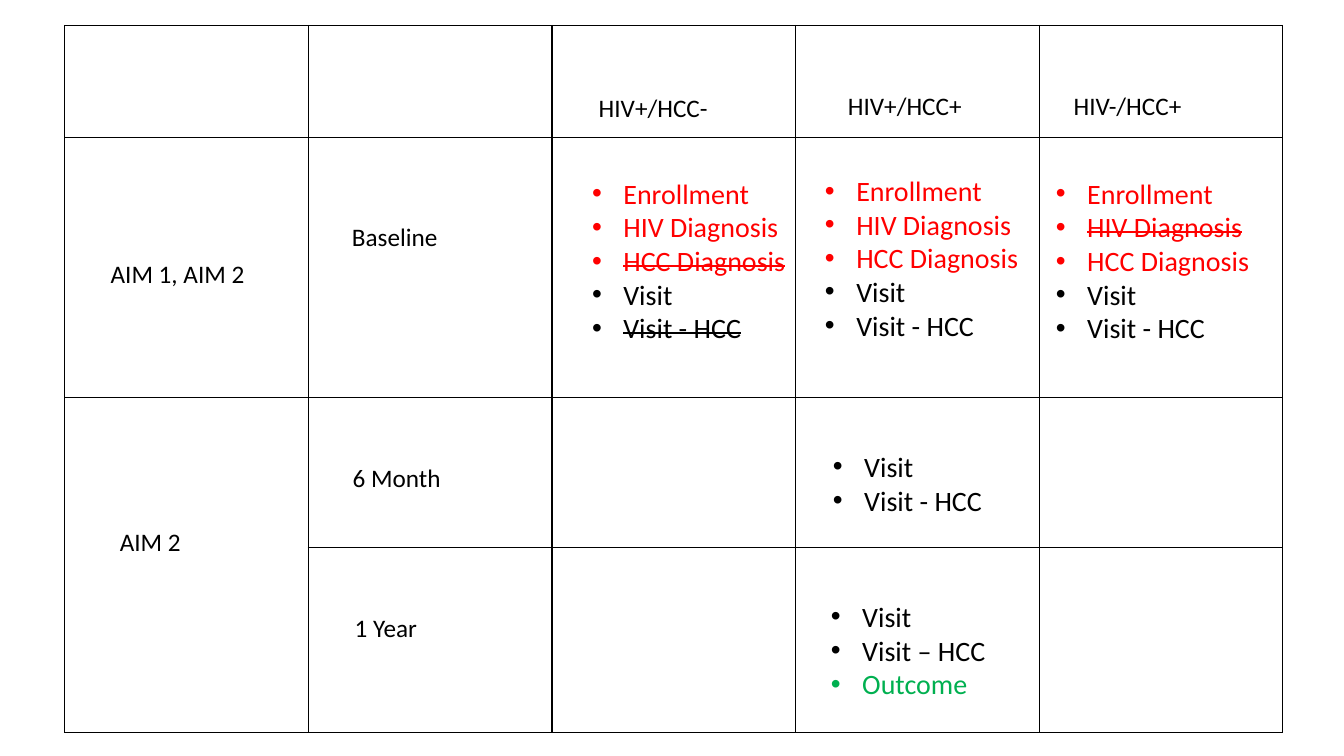
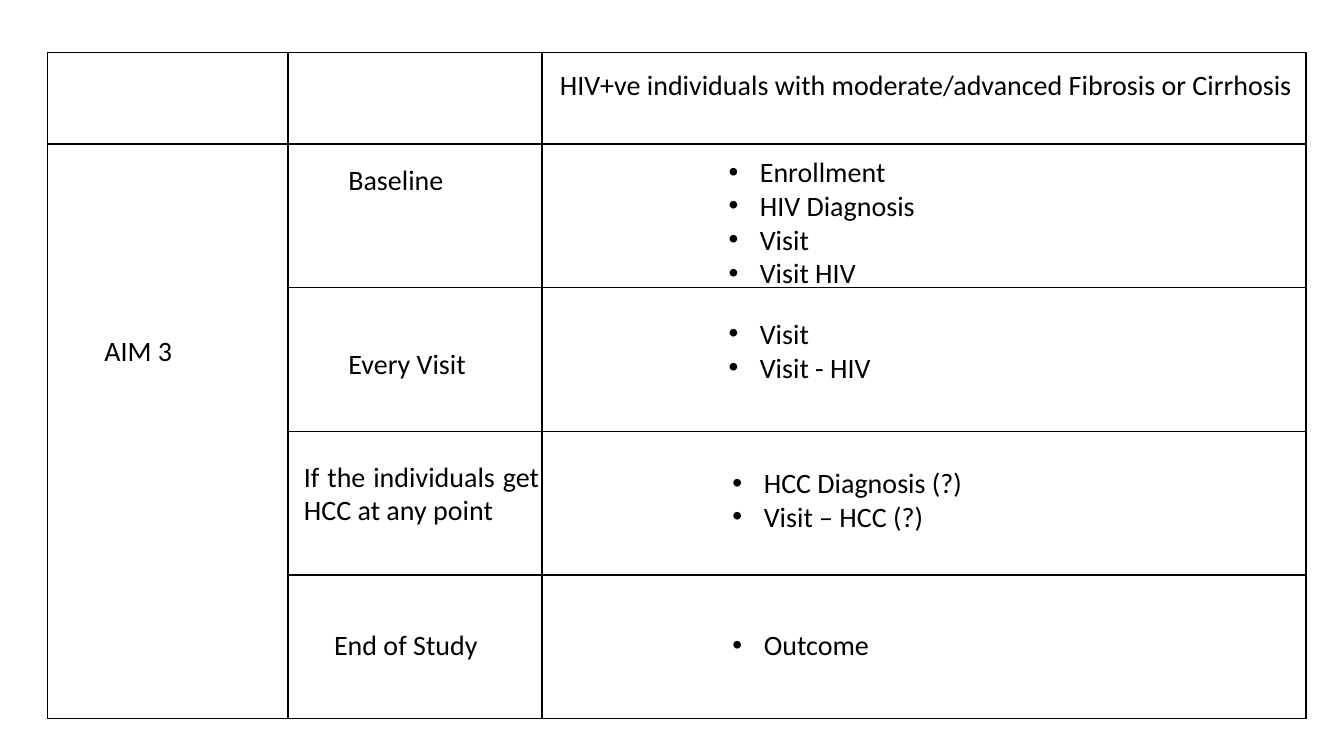
import dataclasses
import itertools

import lxml.etree
import pptx
import pptx.dml.color
import pptx.enum.text
import pptx.oxml.ns
import pptx.util

Cm = pptx.util.Cm
Pt = pptx.util.Pt
ALIGN = pptx.enum.text.PP_ALIGN

COLORS = {"ink": "000000", "diagnosis": "FF0000", "outcome": "00B050"}
FONT = "Calibri"
LIST_SIZE = 20
LIST_INDENT = 0.79
LIST_WIDTH = 6.88
BORDER_WIDTH = 1


@dataclasses.dataclass
class Grid:
    """Left and top of a table with its column widths and row heights, in cm."""
    left: float
    top: float
    columns: list
    rows: list

    def corner(self, row, column):
        """Return the left and top of a cell."""
        return self.left + sum(self.columns[:column]), self.top + sum(self.rows[:row])


@dataclasses.dataclass
class Entry:
    """One bullet of a list of forms."""
    text: str
    color: str = "ink"
    strike: bool = False


def rgb(name):
    """Look up a named colour."""
    return pptx.dml.color.RGBColor.from_string(COLORS[name])


def add_element(parent, tag, **attributes):
    """Append a DrawingML element to its parent."""
    return lxml.etree.SubElement(parent, pptx.oxml.ns.qn(tag), attributes)


def style_cell(cell):
    """Clear the fill of a cell and rule its four sides."""
    properties = cell._tc.get_or_add_tcPr()
    for side in "LRTB":
        line = add_element(properties, f"a:ln{side}", w=str(Pt(BORDER_WIDTH)))
        fill = add_element(line, "a:solidFill")
        add_element(fill, "a:srgbClr", val=COLORS["ink"])
    cell.fill.background()


def add_grid(page, grid, merged):
    """Draw the ruled table, joining the rows of one first-column cell."""
    sizes = [grid.left, grid.top, sum(grid.columns), sum(grid.rows)]
    frame = page.shapes.add_table(len(grid.rows), len(grid.columns), *map(Cm, sizes))
    table = frame.table
    table.first_row = table.horz_banding = False
    for column, width in zip(table.columns, grid.columns):
        column.width = Cm(width)
    for row, height in zip(table.rows, grid.rows):
        row.height = Cm(height)
    for cell in table.iter_cells():
        style_cell(cell)
    first, last = merged
    table.cell(first, 0).merge(table.cell(last, 0))


def add_box(page, grid, place, width, size, lines=1):
    """Add a text box offset from the corner of a cell and return its frame."""
    row, column, across, down = place
    left, top = grid.corner(row, column)
    height = 0.26 + 0.0425 * size * lines
    box = page.shapes.add_textbox(*map(Cm, (left + across, top + down, width, height)))
    frame = box.text_frame
    frame.word_wrap = True
    frame.auto_size = pptx.enum.text.MSO_AUTO_SIZE.SHAPE_TO_FIT_TEXT
    return frame


def add_span(para, text, size, color="ink", strike=False):
    """Add one styled run to a paragraph."""
    span = para.add_run()
    span.text = text
    span.font.name = FONT
    span.font.size = Pt(size)
    span.font.color.rgb = rgb(color)
    if strike:
        span.font._element.set("strike", "sngStrike")


def add_label(page, grid, place, width, text, size, align=ALIGN.LEFT, lines=1):
    """Add a plain label to a cell."""
    para = add_box(page, grid, place, width, size, lines).paragraphs[0]
    para.alignment = align
    add_span(para, text, size)


def add_list(page, grid, place, entries, width=LIST_WIDTH):
    """Add a bulleted list of forms to a cell."""
    frame = add_box(page, grid, place, width, LIST_SIZE, len(entries))
    for index, entry in enumerate(entries):
        para = frame.add_paragraph() if index else frame.paragraphs[0]
        properties = para._p.get_or_add_pPr()
        properties.set("marL", str(Cm(LIST_INDENT)))
        properties.set("indent", str(-Cm(LIST_INDENT)))
        add_element(properties, "a:buFont", typeface="Arial")
        add_element(properties, "a:buChar", char="•")
        add_span(para, entry.text, LIST_SIZE, entry.color, entry.strike)


def baseline_entries(*struck):
    """Return the baseline forms, striking those that do not apply."""
    diagnosis = ["Enrollment", "HIV Diagnosis", "HCC Diagnosis"]
    visits = ["Visit", "Visit - HCC"]
    pairs = itertools.chain(
        ((text, "diagnosis") for text in diagnosis), ((text, "ink") for text in visits)
    )
    return [Entry(text, color, text in struck) for text, color in pairs]


def build_case_control(page, grid):
    """Lay out the schedule of aims 1 and 2."""
    add_grid(page, grid, merged=(2, 3))
    labels = [
        ((0, 2, 0.93, 1.55), 3.4, "HIV+/HCC-"),
        ((0, 3, 1.07, 1.52), 3.6, "HIV+/HCC+"),
        ((0, 4, 0.62, 1.52), 3.5, "HIV-/HCC+"),
        ((1, 0, 0.91, 2.92), 4.39, "AIM 1, AIM 2"),
        ((1, 1, 0.85, 1.98), 4.17, "Baseline"),
        ((2, 0, 1.14, 3.12), 3.91, "AIM 2"),
        ((2, 1, 0.87, 1.52), 3, "6 Month"),
        ((3, 1, 0.92, 1.52), 2.3, "1 Year"),
    ]
    for place, width, text in labels:
        add_label(page, grid, place, width, text, 18)
    add_list(page, grid, (1, 2, 0.76, 0.86), baseline_entries("HCC Diagnosis", "Visit - HCC"))
    add_list(page, grid, (1, 3, 0.49, 0.79), baseline_entries())
    add_list(page, grid, (1, 4, 0.17, 0.86), baseline_entries("HIV Diagnosis"))
    add_list(page, grid, (2, 3, 0.69, 1.19), [Entry("Visit"), Entry("Visit - HCC")], 4.75)
    year_entries = [Entry("Visit"), Entry("Visit – HCC"), Entry("Outcome", "outcome")]
    add_list(page, grid, (3, 3, 0.64, 1.19), year_entries)


def build_cohort(page, grid):
    """Lay out the schedule of aim 3."""
    add_grid(page, grid, merged=(1, 4))
    heading = "HIV+ve individuals with moderate/advanced Fibrosis or Cirrhosis"
    labels = [
        ((0, 2, 0.2, 0.25), 20.04, heading),
        ((1, 0, 1.19, 4.65), 4.39, "AIM 3"),
        ((1, 1, 1.27, 0.33), 4.17, "Baseline"),
        ((2, 1, 1.27, 1.36), 3.7, "Every Visit"),
        ((3, 1, 0.15, 0.58), 6.43, "If the individuals get HCC at any point", ALIGN.JUSTIFY, 2),
        ((4, 1, 0.91, 1.21), 4.52, "End of Study", ALIGN.JUSTIFY),
    ]
    for place, width, text, *layout in labels:
        add_label(page, grid, place, width, text, 20, *layout)
    lists = [
        ((1, 2, 4.45, 0.15), ["Enrollment", "HIV Diagnosis", "Visit", "Visit HIV"]),
        ((2, 2, 4.45, 0.6), ["Visit", "Visit - HIV"]),
        ((3, 2, 4.55, 0.74), ["HCC Diagnosis (?)", "Visit – HCC (?)"]),
        ((4, 2, 4.55, 1.21), ["Outcome"]),
    ]
    for place, texts in lists:
        add_list(page, grid, place, [Entry(text) for text in texts])


def main():
    """Build and save the deck."""
    deck = pptx.Presentation()
    deck.slide_width, deck.slide_height = Cm(33.87), Cm(19.05)
    blank = deck.slide_layouts[6]
    case_grid = Grid(1.63, 0.64, [6.14] * 5, [2.82, 6.55, 3.78, 4.67])
    build_case_control(deck.slides.add_slide(blank), case_grid)
    cohort_grid = Grid(1.19, 1.32, [6.07, 6.4, 19.25], [2.31] + [3.62] * 4)
    build_cohort(deck.slides.add_slide(blank), cohort_grid)
    deck.save("out.pptx")


if __name__ == "__main__":
    main()
